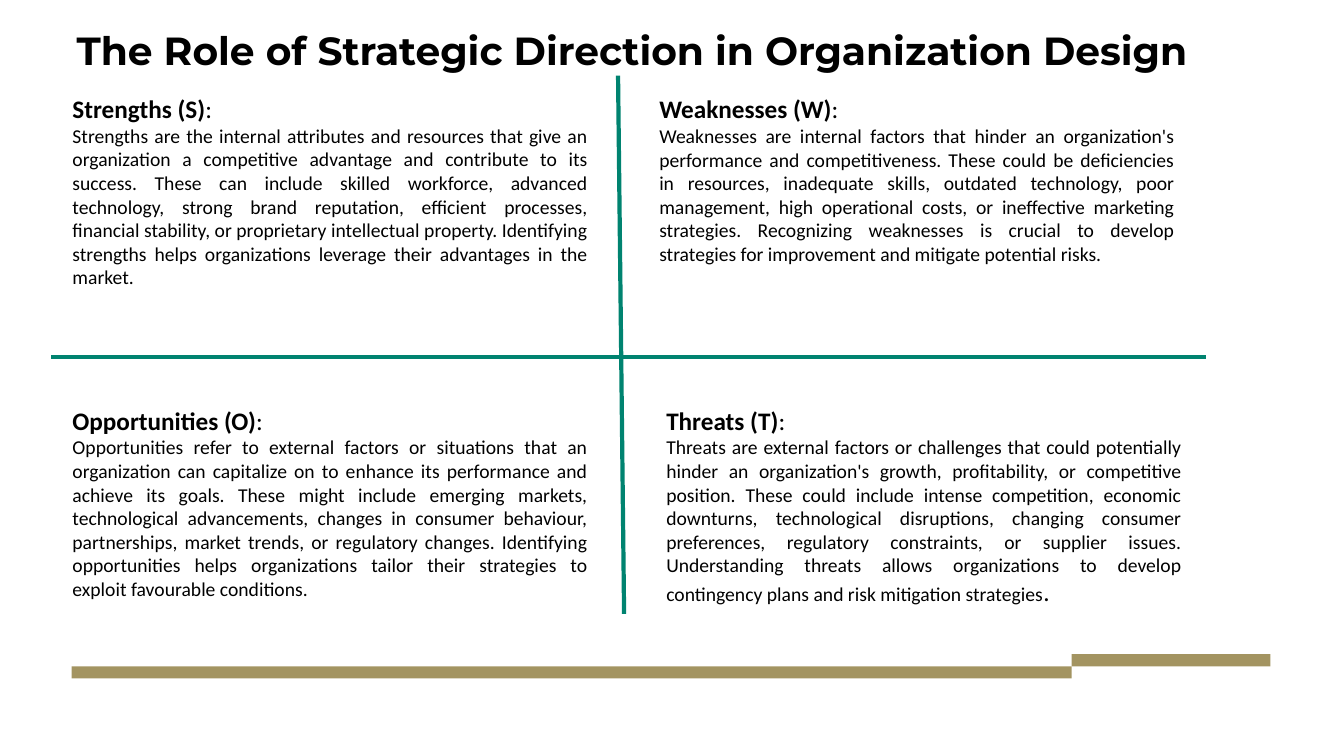
from lxml import etree
from pptx import Presentation
from pptx.dml.color import RGBColor
from pptx.enum.shapes import MSO_CONNECTOR, MSO_SHAPE
from pptx.enum.text import MSO_ANCHOR, PP_ALIGN
from pptx.oxml.ns import qn
from pptx.util import Inches, Pt

RECTANGLE = MSO_SHAPE.RECTANGLE
STRAIGHT = MSO_CONNECTOR.STRAIGHT
JUSTIFY = PP_ALIGN.JUSTIFY
TOP = MSO_ANCHOR.TOP

COLORS = {"text": "000000", "divider": "008370", "footer": "A39461"}
QUADRANT_WIDTH = 5.31


def color(name):
    return RGBColor.from_string(COLORS[name])


def style(font, size, name="Calibri", bold=False):
    font.size = Pt(size)
    font.name = name
    font.bold = bold
    font.color.rgb = color("text")


prs = Presentation()
prs.slide_width = Inches(13.33)
prs.slide_height = Inches(7.5)
slide = prs.slides.add_slide(prs.slide_layouts[6])

# Stepped footer bar
for left, top, width in [(0.71, 6.61, 9.92), (10.63, 6.49, 1.97)]:
    bar = slide.shapes.add_shape(
        RECTANGLE, Inches(left), Inches(top), Inches(width), Inches(0.12))
    bar.shadow.inherit = False
    bar.fill.solid()
    bar.fill.fore_color.rgb = color("footer")
    bar.line.fill.background()

# Title
title = slide.shapes.add_textbox(
    Inches(0.76), Inches(0.26), Inches(11.76), Inches(0.82)).text_frame
title.word_wrap = True
title.vertical_anchor = TOP
title.margin_left = 0
heading = title.paragraphs[0]
heading.text = "The Role of Strategic Direction in Organization Design"
heading.line_spacing = 0.9
style(heading.font, 28, "Montserrat", bold=True)

# SWOT quadrants: left, top, height, name, description
quadrants = [
    (0.62, 0.88, 2.66, "Strengths (S)",
     "Strengths are the internal attributes and resources that give an "
     "organization a competitive advantage and contribute to its success. "
     "These can include skilled workforce, advanced technology, strong brand "
     "reputation, efficient processes, financial stability, or proprietary "
     "intellectual property. Identifying strengths helps organizations "
     "leverage their advantages in the market."),
    (6.44, 0.88, 2.12, "Weaknesses (W)",
     "Weaknesses are internal factors that hinder an organization's "
     "performance and competitiveness. These could be deficiencies in "
     "resources, inadequate skills, outdated technology, poor management, "
     "high operational costs, or ineffective marketing strategies. "
     "Recognizing weaknesses is crucial to develop strategies for "
     "improvement and mitigate potential risks."),
    (0.62, 3.97, 2.36, "Opportunities (O)",
     "Opportunities refer to external factors or situations that an "
     "organization can capitalize on to enhance its performance and achieve "
     "its goals. These might include emerging markets, technological "
     "advancements, changes in consumer behaviour, partnerships, market "
     "trends, or regulatory changes. Identifying opportunities helps "
     "organizations tailor their strategies to exploit favourable "
     "conditions."),
    (6.51, 3.97, 2.12, "Threats (T)",
     "Threats are external factors or challenges that could potentially "
     "hinder an organization's growth, profitability, or competitive "
     "position. These could include intense competition, economic downturns, "
     "technological disruptions, changing consumer preferences, regulatory "
     "constraints, or supplier issues. Understanding threats allows "
     "organizations to develop contingency plans and risk mitigation "
     "strategies"),
]
for left, top, height, name, description in quadrants:
    quadrant = slide.shapes.add_textbox(
        Inches(left), Inches(top), Inches(QUADRANT_WIDTH), Inches(height)).text_frame
    quadrant.word_wrap = True
    quadrant.vertical_anchor = TOP
    label = quadrant.paragraphs[0]
    for words, bold in [(name, True), (":", False)]:
        run = label.add_run()
        run.text = words
        style(run.font, 18, bold=bold)
    body = quadrant.add_paragraph()
    body.alignment = JUSTIFY
    run = body.add_run()
    run.text = description
    style(run.font, 14)

# The last quadrant closes with a larger full stop
full_stop = body.add_run()
full_stop.text = "."
style(full_stop.font, 18)

# Dividers between the quadrants
for x1, y1, x2, y2 in [(6.13, 0.75, 6.19, 6.09), (11.96, 3.54, 0.51, 3.54)]:
    divider = slide.shapes.add_connector(
        STRAIGHT, Inches(x1), Inches(y1), Inches(x2), Inches(y2))
    divider.line.color.rgb = color("divider")
    divider.line.width = Pt(3)
    etree.SubElement(divider._element.spPr, qn("a:effectLst"))

prs.save("out.pptx")
